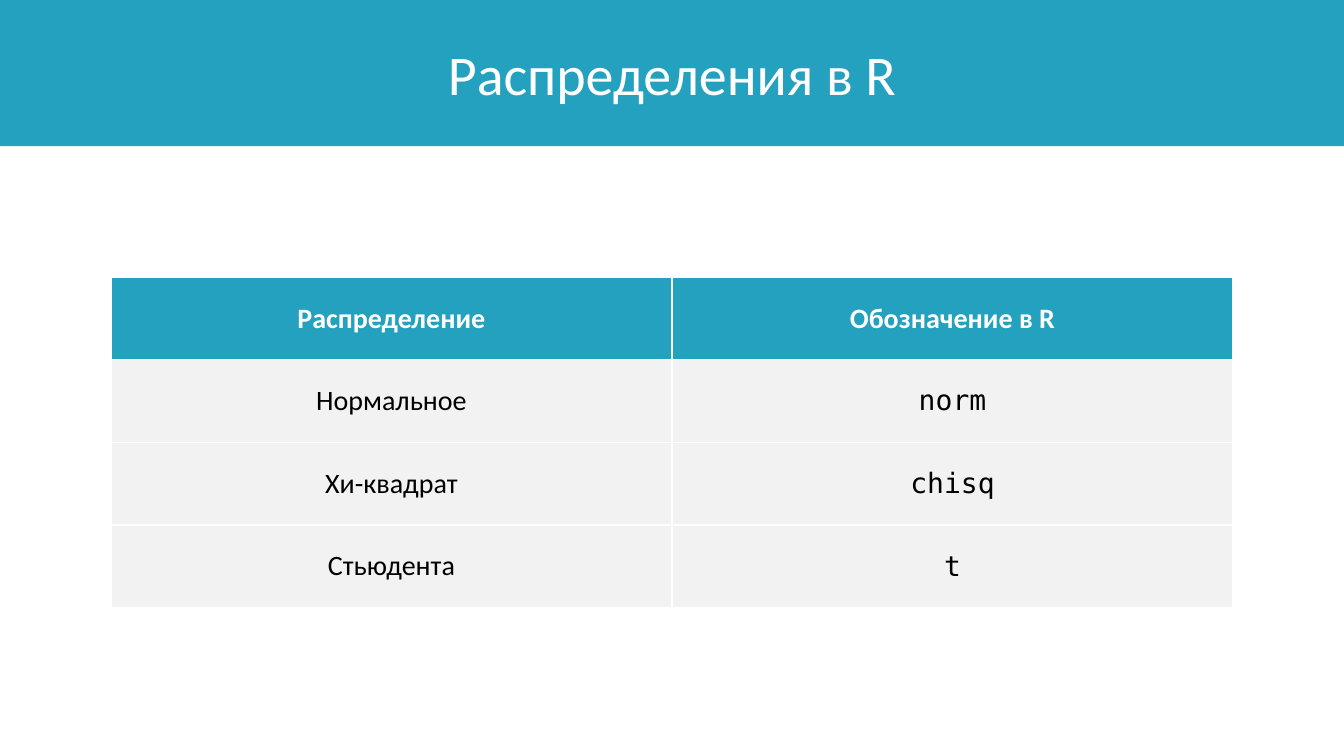
from lxml import etree
from pptx import Presentation
from pptx.dml.color import RGBColor
from pptx.enum.shapes import MSO_SHAPE
from pptx.enum.text import MSO_ANCHOR, PP_ALIGN
from pptx.oxml.ns import qn
from pptx.util import Inches, Pt

# Content
TITLE = "Распределения в R"
ROWS = [
    ("Распределение", "Обозначение в R"),
    ("Нормальное", "norm"),
    ("Хи-квадрат", "chisq"),
    ("Стьюдента", "t"),
]

# Style
TEAL = RGBColor(0x24, 0xA1, 0xBF)
GRAY = RGBColor(0xF2, 0xF2, 0xF2)
WHITE = RGBColor(0xFF, 0xFF, 0xFF)
BLACK = RGBColor(0, 0, 0)
SANS, MONO = "Calibri", "DejaVu Sans Mono"
RECT = MSO_SHAPE.RECTANGLE
MIDDLE, CENTER = MSO_ANCHOR.MIDDLE, PP_ALIGN.CENTER

# Layout in inches
WIDTH, HEIGHT = 13.33, 7.5
BAND = 1.45
LEFT, TOP = 1.1, 2.75
ROW = 0.82
SPAN = WIDTH - 2 * LEFT


def write(frame, text, size, color, font=SANS, bold=False):
    para = frame.paragraphs[0]
    para.alignment = CENTER
    run = para.add_run()
    run.text = text
    run.font.name = font
    run.font.size = Pt(size)
    run.font.bold = bold
    run.font.color.rgb = color


def border(cell, color, width):
    props = cell._tc.get_or_add_tcPr()
    for spot, side in enumerate(("lnL", "lnR", "lnT", "lnB")):
        line = etree.Element(qn("a:" + side), w=str(Pt(width)))
        fill = etree.SubElement(line, qn("a:solidFill"))
        etree.SubElement(fill, qn("a:srgbClr"), val=str(color))
        props.insert(spot, line)


deck = Presentation()
deck.slide_width, deck.slide_height = Inches(WIDTH), Inches(HEIGHT)
slide = deck.slides.add_slide(deck.slide_layouts[6])

# Title band
band = slide.shapes.add_shape(RECT, 0, 0, Inches(WIDTH), Inches(BAND))
band.shadow.inherit = False
band.fill.solid()
band.fill.fore_color.rgb = TEAL
band.line.fill.background()
band.text_frame.vertical_anchor = MIDDLE
write(band.text_frame, TITLE, 40, WHITE)

# Table of distributions
table = slide.shapes.add_table(
    len(ROWS), len(ROWS[0]), Inches(LEFT), Inches(TOP),
    Inches(SPAN), Inches(ROW * len(ROWS))).table
for r, row in enumerate(ROWS):
    head = r == 0
    for c, text in enumerate(row):
        cell = table.cell(r, c)
        cell.fill.solid()
        cell.fill.fore_color.rgb = TEAL if head else GRAY
        cell.vertical_anchor = MIDDLE
        border(cell, WHITE, 1)
        font = MONO if c and not head else SANS
        write(cell.text_frame, text, 20, WHITE if head else BLACK, font, head)

deck.save("out.pptx")
